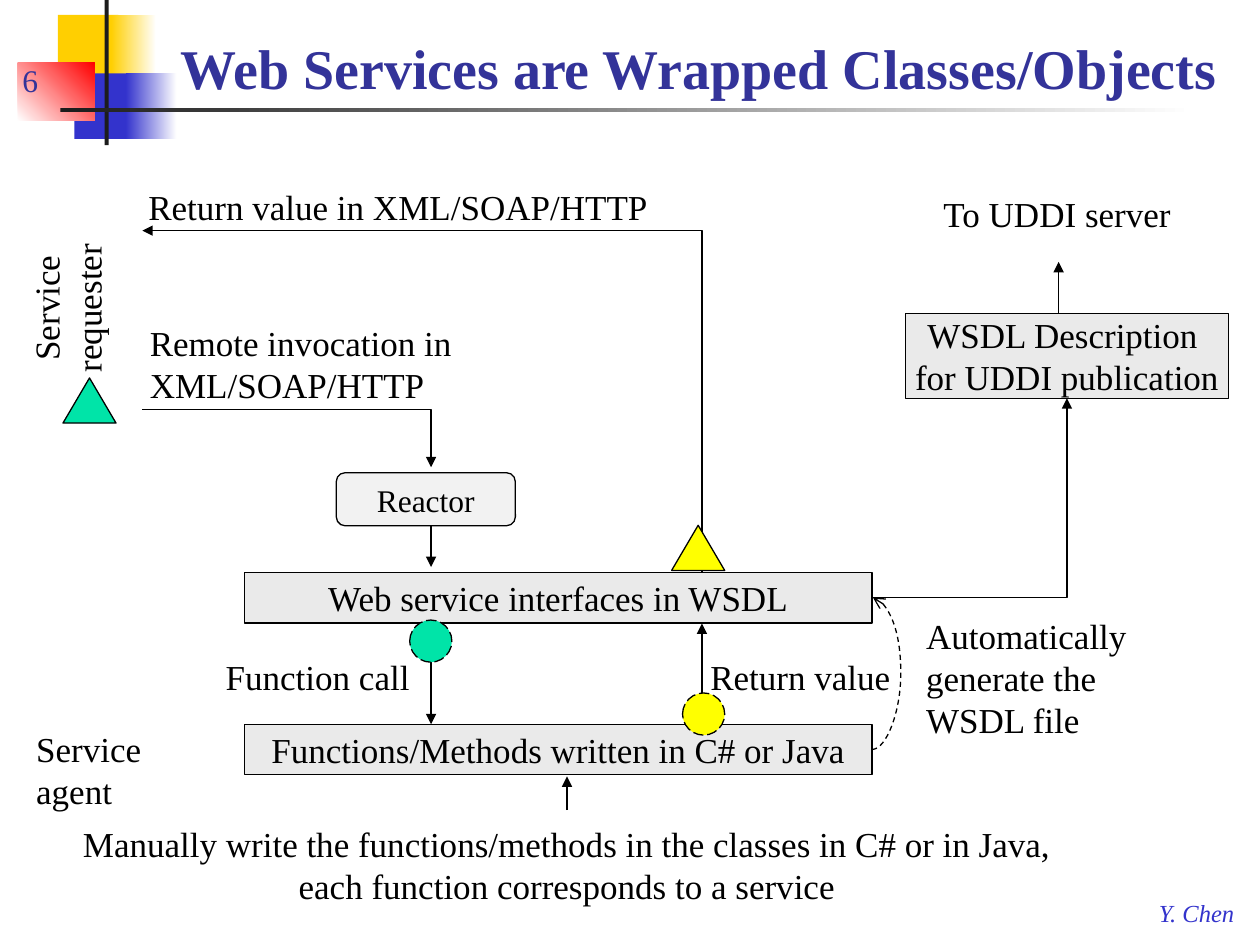
from lxml import etree
from pptx import Presentation
from pptx.dml.color import RGBColor
from pptx.enum.dml import MSO_LINE
from pptx.enum.shapes import MSO_CONNECTOR, MSO_SHAPE
from pptx.enum.text import MSO_ANCHOR, PP_ALIGN
from pptx.oxml.ns import qn
from pptx.util import Cm, Pt

BLACK = RGBColor(0x00, 0x00, 0x00)
WHITE = RGBColor(0xFF, 0xFF, 0xFF)
DARK = RGBColor(0x1C, 0x1C, 0x1C)
GOLD = RGBColor(0xFF, 0xCF, 0x01)
BLUE = RGBColor(0x33, 0x33, 0xCC)
NAVY = RGBColor(0x33, 0x33, 0x99)
RED = RGBColor(0xFF, 0x00, 0x00)
GREY = RGBColor(0xEA, 0xEA, 0xEA)
PALE = RGBColor(0xF2, 0xF2, 0xF2)
GREEN = RGBColor(0x00, 0xE4, 0xA8)
YELLOW = RGBColor(0xFF, 0xFF, 0x00)


class Board:
    font = "Times New Roman"
    size = 20
    weight = 0.75

    def __init__(self, slide):
        self.slide = slide
        self.shapes = slide.shapes

    def letter(self, shape, text, size=None, color=BLACK, align=PP_ALIGN.LEFT,
               anchor=MSO_ANCHOR.TOP, wrap=True, bold=False, italic=False):
        frame = shape.text_frame
        frame.text = text
        frame.word_wrap = wrap
        frame.vertical_anchor = anchor
        for para in frame.paragraphs:
            para.alignment = align
            for run in para.runs:
                font = run.font
                font.name, font.size = self.font, Pt(size or self.size)
                font.bold, font.italic = bold, italic
                font.color.rgb = color

    def title(self, box, text):
        shape = self.shapes.title
        shape.left, shape.top, shape.width, shape.height = map(Cm, box)
        self.letter(shape, text, 32, NAVY, anchor=MSO_ANCHOR.BOTTOM, bold=True)

    def label(self, box, text, turn=0, **style):
        shape = self.shapes.add_textbox(*map(Cm, box))
        shape.rotation = turn
        self.letter(shape, text, **style)

    def shape(self, kind, box, fill, line=True, dash=None):
        shape = self.shapes.add_shape(kind, *map(Cm, box))
        shape.shadow.inherit = False
        shape.fill.solid()
        shape.fill.fore_color.rgb = fill
        if line:
            self.stroke(shape, dash)
        else:
            shape.line.fill.background()
        return shape

    def fade(self, box, first, last, angle=0):
        fill = self.shape(MSO_SHAPE.RECTANGLE, box, first, line=False).fill
        fill.gradient()
        fill.gradient_angle = angle
        for stop, color, place in zip(fill.gradient_stops, (first, last), (0, 1)):
            stop.color.rgb = color
            stop.position = place

    def box(self, box, text, wrap=False):
        shape = self.shape(MSO_SHAPE.RECTANGLE, box, GREY)
        self.letter(shape, text, align=PP_ALIGN.CENTER,
                    anchor=MSO_ANCHOR.MIDDLE, wrap=wrap)

    def stroke(self, shape, dash=None, tip=None):
        shape.line.color.rgb = BLACK
        shape.line.width = Pt(self.weight)
        if dash:
            shape.line.dash_style = dash
        if tip:
            line = shape._element.spPr.find(qn("a:ln"))
            etree.SubElement(line, qn("a:tailEnd"), type=tip)

    def arrow(self, start, end, kind=MSO_CONNECTOR.STRAIGHT, dash=None, tip="triangle"):
        line = self.shapes.add_connector(kind, *map(Cm, start + end))
        self.stroke(line, dash, tip)
        etree.SubElement(line._element.spPr, qn("a:effectLst"))
        return line._element.spPr.find(qn("a:prstGeom"))

    def route(self, *points):
        spots = [(Cm(x), Cm(y)) for x, y in points]
        form = self.shapes.build_freeform(*spots[0])
        form.add_line_segments(spots[1:], close=False)
        shape = form.convert_to_shape()
        shape.shadow.inherit = False
        shape.fill.background()
        self.stroke(shape, tip="triangle")


deck = Presentation()
deck.slide_width, deck.slide_height = Cm(25.4), Cm(19.05)
board = Board(deck.slides.add_slide(deck.slide_layouts[5]))

# Corner ornament, rule and title
board.shape(MSO_SHAPE.RECTANGLE, (1.17, 0.3, 1.22, 1.32), GOLD, line=False)
board.fade((2.24, 0.3, 0.91, 1.32), GOLD, WHITE)
board.shape(MSO_SHAPE.RECTANGLE, (1.5, 1.48, 1.17, 1.32), BLUE, line=False)
board.fade((2.54, 1.48, 1.02, 1.32), BLUE, WHITE)
board.fade((0.36, 1.27, 1.55, 1.17), WHITE, RED, 45)
board.shape(MSO_SHAPE.RECTANGLE, (2.11, 0, 0.08, 2.93), DARK, line=False)
board.fade((1.22, 2.18, 22.86, 0.08), DARK, WHITE)
board.title((3.38, 0.43, 21.79, 1.73), "Web Services are Wrapped Classes/Objects")
board.label((0.2, 0.84, 5.28, 1.27), "6", size=18, color=NAVY, anchor=MSO_ANCHOR.BOTTOM)
board.label((23.11, 17.98, 2.08, 0.84), "Y. Chen", size=14, color=BLUE,
            italic=True, wrap=False)

# Requests and replies
CALL, REPLY = 8.69, 14.15
LEFT, RIGHT = 4.93, 17.58
WIDE, HIGH = RIGHT - LEFT, 1.02
board.route((2.87, 8.26), (CALL, 8.26), (CALL, 9.42))
board.route((REPLY, 11.63), (REPLY, 4.65), (2.87, 4.65))
for start, end in (((CALL, 10.16), (CALL, 11.43)),
                   ((CALL, 12.57), (CALL, 14.6)),
                   ((REPLY, 14.6), (REPLY, 12.57)),
                   ((11.43, 16.33), (11.43, 15.65)),
                   ((21.34, 6.32), (21.34, 5.28))):
    board.arrow(start, end)

# Service layers and published description
board.box((LEFT, 14.6, WIDE, HIGH), "Functions/Methods written in C# or Java")
board.box((LEFT, 11.54, WIDE, HIGH), "Web service interfaces in WSDL")
board.box((18.26, 6.32, 6.5, 1.71), "WSDL Description \vfor UDDI publication")
bend = board.arrow((RIGHT, 12.05), (21.51, 8.03), MSO_CONNECTOR.ELBOW)
bend.set("prst", "bentConnector2")
curve = board.arrow((RIGHT, 15.11), (RIGHT + 0.02, 12.05), MSO_CONNECTOR.CURVE,
                    MSO_LINE.DASH, "arrow")
guide = curve.get_or_add_avLst()
etree.SubElement(guide, qn("a:gd"), name="adj1", fmla="val 2900000")

# Reactor
reactor = board.shape(MSO_SHAPE.ROUNDED_RECTANGLE, (6.78, 9.53, 3.61, 1.07), PALE)
board.letter(reactor, "Reactor", size=18, align=PP_ALIGN.CENTER)

# Labels
for box, text in (((2.77, 6.35, 6.76, 1.96), "Remote invocation in\nXML/SOAP/HTTP"),
                  ((14.07, 13.08, 4.47, 1.12), "Return value"),
                  ((2.74, 3.61, 10.67, 1.12), "Return value in XML/SOAP/HTTP"),
                  ((0.48, 14.55, 4.32, 1.96), "Service\nagent"),
                  ((18.42, 12.27, 4.72, 2.79), "Automatically\ngenerate the\nWSDL file"),
                  ((18.77, 3.76, 5.4, 1.09), "To UDDI server")):
    board.label(box, text)
board.label((2.26, 13.08, 6.25, 1.12), "Function call", align=PP_ALIGN.RIGHT)
board.label((1.27, 16.46, 20.32, 1.96),
            "Manually write the functions/methods in the classes in C# or in Java,\n"
            "each function corresponds to a service", align=PP_ALIGN.CENTER)
board.label((-0.2, 5.23, 3.1, 1.96), "Service\nrequester", turn=270,
            align=PP_ALIGN.CENTER)

# Markers
for x, y, color in ((1.27, 7.62, GREEN), (13.54, 10.59, YELLOW)):
    board.shape(MSO_SHAPE.ISOSCELES_TRIANGLE, (x, y, 1.07, 0.91), color)
for x, y, color in ((8.26, 12.5, GREEN), (13.76, 13.97, YELLOW)):
    board.shape(MSO_SHAPE.OVAL, (x, y, 0.85, 0.85), color, dash=MSO_LINE.LONG_DASH)

deck.save("out.pptx")
